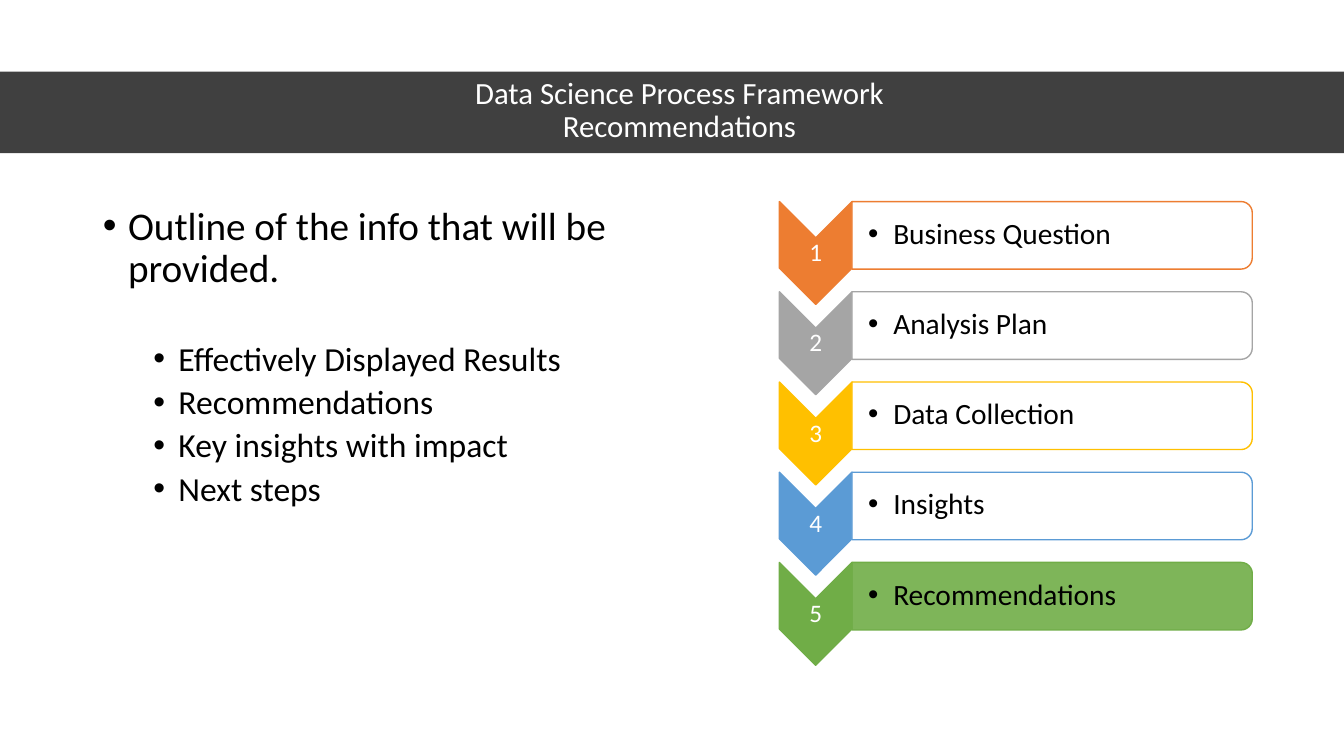
from dataclasses import dataclass

from lxml.etree import SubElement
from pptx import Presentation
from pptx.dml.color import RGBColor
from pptx.enum.shapes import MSO_SHAPE as Preset
from pptx.enum.text import MSO_ANCHOR as Anchor, MSO_AUTO_SIZE as AutoSize, PP_ALIGN as Align
from pptx.oxml.ns import qn
from pptx.util import Inches, Pt


@dataclass(frozen=True)
class Theme:
    font: str = "Calibri"
    ink: str = "000000"
    paper: str = "FFFFFF"
    steps: tuple = ("ED7D31", "A5A5A5", "FFC000", "5B9BD5", "70AD47")
    title_size: int = 22
    lead_size: int = 28
    point_size: int = 24
    step_size: int = 21
    number_size: int = 18


class SlideBuilder:
    def __init__(self, page, theme):
        self.page = page
        self.theme = theme

    def place(self, item, left, top, width, height):
        item.left, item.top = Inches(left), Inches(top)
        item.width, item.height = Inches(width), Inches(height)

    def style(self, para, size, color, align=Align.LEFT, before=0):
        para.alignment = align
        para.line_spacing = 0.9
        para.space_before = Pt(before)
        para.font.name = self.theme.font
        para.font.size = Pt(size)
        para.font.color.rgb = RGBColor.from_string(color)

    def bullet(self, para, indent):
        props = para._p.get_or_add_pPr()
        props.set("marL", str(Inches(indent)))
        props.set("indent", str(Inches(-0.25)))
        SubElement(props, qn("a:buFont"), typeface="Arial")
        SubElement(props, qn("a:buChar"), char="•")

    def shape(self, preset, left, top, width, height, fill, line=None, opacity=100, rotation=0):
        shape = self.page.shapes.add_shape(
            preset, Inches(left), Inches(top), Inches(width), Inches(height))
        shape.shadow.inherit = False
        shape.rotation = rotation
        shape.fill.solid()
        shape.fill.fore_color.rgb = RGBColor.from_string(fill)
        if opacity < 100:
            color = shape._element.spPr.find(qn("a:solidFill"))[0]
            SubElement(color, qn("a:alpha"), val=str(opacity * 1000))
        if line:
            shape.line.color.rgb = RGBColor.from_string(line)
            shape.line.width = Pt(1)
        else:
            shape.line.fill.background()
        return shape

    def label(self, text, left, top, width, height, size, color,
              align=Align.LEFT, inset=0.01, bulleted=False):
        box = self.page.shapes.add_textbox(
            Inches(left), Inches(top), Inches(width), Inches(height))
        frame = box.text_frame
        frame.word_wrap = True
        frame.vertical_anchor = Anchor.MIDDLE
        frame.margin_left = Inches(inset)
        frame.margin_top = frame.margin_right = frame.margin_bottom = Inches(0.01)
        para = frame.paragraphs[0]
        para.text = text
        if bulleted:
            self.bullet(para, 0.25)
        self.style(para, size, color, align)

    def title(self, text):
        title = self.page.shapes.title
        band = self.shape(Preset.RECTANGLE, 0, 0.71, 13.33, 0.81, self.theme.ink, opacity=75)
        title._element.addprevious(band._element)
        self.place(title, 0.61, 0.7, 12.26, 0.81)
        frame = title.text_frame
        frame.auto_size = AutoSize.NONE
        frame.vertical_anchor = Anchor.MIDDLE
        frame.text = text
        self.style(frame.paragraphs[0], self.theme.title_size, self.theme.paper, Align.CENTER)

    def outline(self, lead, points):
        body = self.page.placeholders[1]
        self.place(body, 0.92, 2, 5.75, 4.76)
        frame = body.text_frame
        frame.auto_size = AutoSize.NONE
        frame.text = "\n".join([lead, *points])
        first, *rest = frame.paragraphs
        self.bullet(first, 0.25)
        self.style(first, self.theme.lead_size, self.theme.ink, before=10)
        for index, para in enumerate(rest):
            para.level = 1
            self.bullet(para, 0.75)
            self.style(para, self.theme.point_size, self.theme.ink, before=5 if index else 36.4)

    def step(self, number, text, top, color, active):
        self.shape(Preset.CHEVRON, 7.58, top, 1.02, 0.72, color, color, rotation=90)
        self.label(str(number), 7.73, top + 0.21, 0.72, 0.31,
                   self.theme.number_size, self.theme.paper, Align.CENTER)
        self.shape(Preset.ROUND_2_SAME_RECTANGLE, 10.1, top - 1.8, 0.67, 3.97,
                   color if active else self.theme.paper, color, opacity=90, rotation=90)
        self.label(text, 8.45, top - 0.12, 3.94, 0.6, self.theme.step_size,
                   self.theme.ink, inset=0.16, bulleted=True)


deck = Presentation()
deck.slide_width, deck.slide_height = Inches(13.33), Inches(7.5)
theme = Theme()
builder = SlideBuilder(deck.slides.add_slide(deck.slide_layouts[1]), theme)

builder.title("Data Science Process Framework\vRecommendations")
builder.outline("Outline of the info that will be provided.", [
    "Effectively Displayed Results", "Recommendations", "Key insights with impact", "Next steps"])

steps = ["Business Question", "Analysis Plan", "Data Collection", "Insights", "Recommendations"]
first_top, last_top = 2.15, 5.73
pitch = (last_top - first_top) / (len(steps) - 1)
for index, (text, color) in enumerate(zip(steps, theme.steps)):
    builder.step(index + 1, text, first_top + index * pitch, color, text == "Recommendations")

deck.save("out.pptx")
